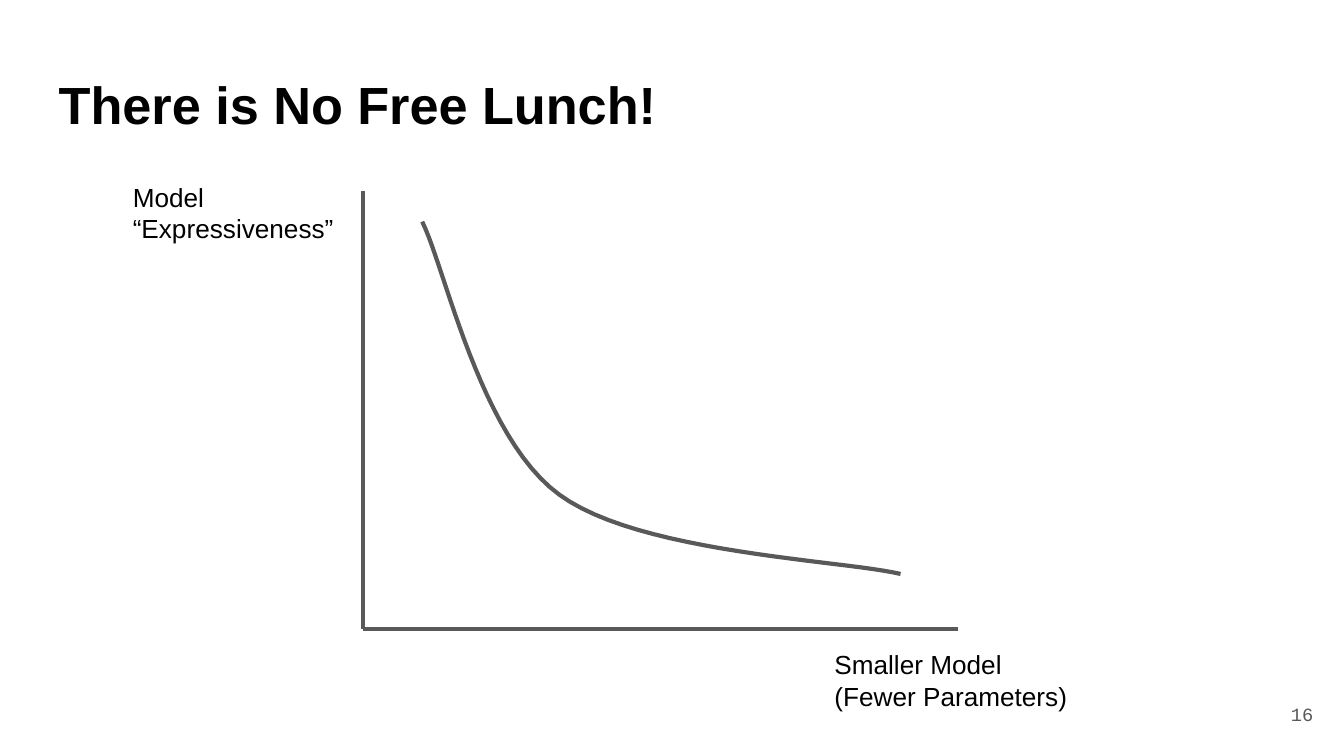
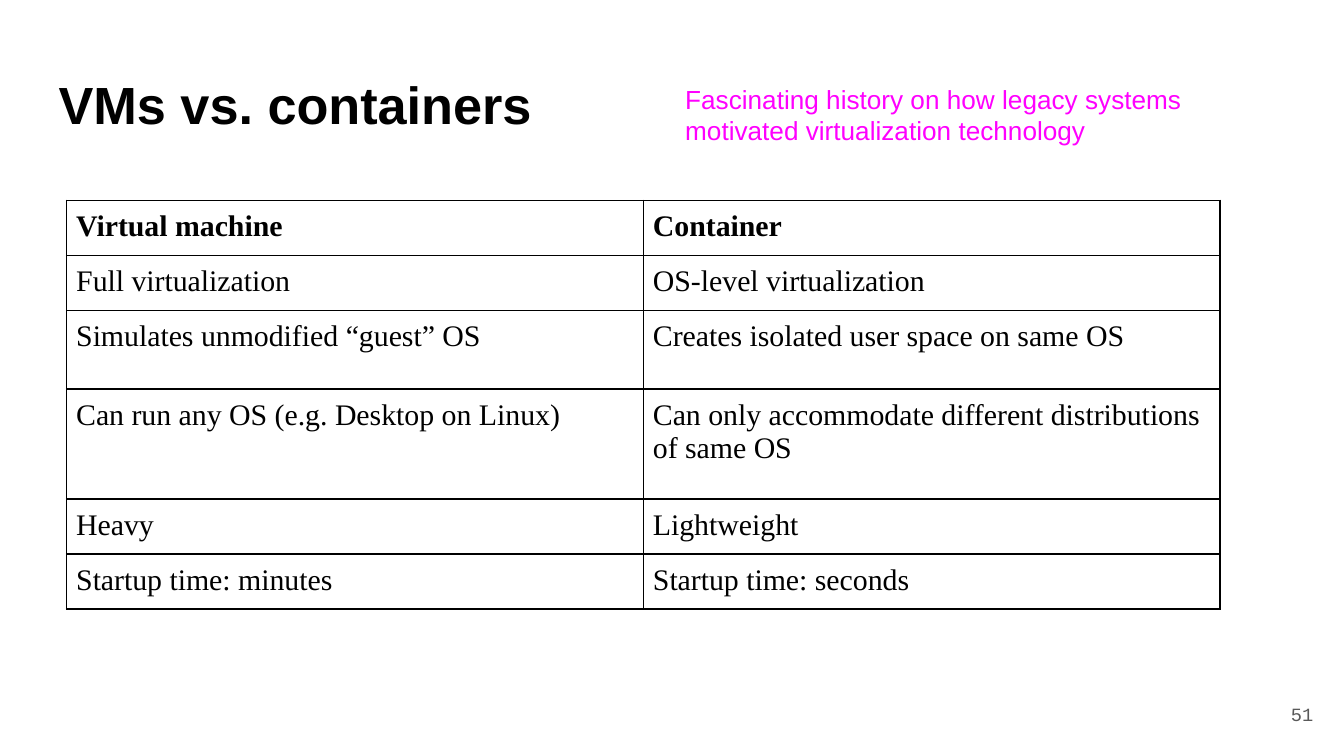
import lxml.etree
import pptx
import pptx.dml.color
import pptx.enum.shapes
import pptx.enum.text
import pptx.oxml.ns
import pptx.util

Cm = pptx.util.Cm
Pt = pptx.util.Pt
RGBColor = pptx.dml.color.RGBColor
ALIGN = pptx.enum.text.PP_ALIGN
ANCHOR = pptx.enum.text.MSO_ANCHOR
qn = pptx.oxml.ns.qn

BLACK = RGBColor(0x00, 0x00, 0x00)
GREY = RGBColor(0x59, 0x59, 0x59)
MAGENTA = RGBColor(0xFF, 0x00, 0xFF)

TRADEOFF = {
    "title": "There is No Free Lunch!",
    "number": "16",
    "labels": [
        (["Model", "“Expressiveness”"], (2.26, 3.18, 4.45, 1.7)),
        (["Smaller Model", "(Fewer Parameters)"], (15.52, 12.01, 5.46, 1.7)),
    ],
    "origin": (6.86, 11.89),
    "axis_ends": [(6.86, 3.61), (18.11, 11.89)],
    "curve": [
        [(7.98, 4.19), (8.41, 5.05), (9.07, 8.26), (10.57, 9.35)],
        [(10.57, 9.35), (12.07, 10.46), (15.93, 10.59), (17.02, 10.85)],
    ],
}
COMPARISON = {
    "title": "VMs vs. containers",
    "number": "51",
    "remark": "Fascinating history on how legacy systems motivated virtualization technology",
    "rows": [
        (0.92, "Virtual machine", "Container"),
        (0.92, "Full virtualization", "OS-level virtualization"),
        (1.49, "Simulates unmodified “guest” OS", "Creates isolated user space on same OS"),
        (2.08, "Can run any OS (e.g. Desktop on Linux)",
         "Can only accommodate different distributions of same OS"),
        (0.92, "Heavy", "Lightweight"),
        (0.92, "Startup time: minutes", "Startup time: seconds"),
    ],
}
COLUMN_WIDTH = 10.9
CURVE_STEPS = 24


def write(frame, lines, size=14, font="Arial", color=BLACK, bold=False,
          align=ALIGN.LEFT, anchor=ANCHOR.TOP, inset=0.25):
    frame.word_wrap = True
    frame.vertical_anchor = anchor
    frame.margin_left = frame.margin_right = Cm(inset)
    frame.margin_top = frame.margin_bottom = Cm(inset)
    for index, line in enumerate(lines):
        paragraph = frame.add_paragraph() if index else frame.paragraphs[0]
        paragraph.alignment = align
        run = paragraph.add_run()
        run.text = line
        run.font.size = Pt(size)
        run.font.name = font
        run.font.bold = bold
        run.font.color.rgb = color


def add_text(slide, lines, place, **style):
    box = slide.shapes.add_textbox(*map(Cm, place))
    write(box.text_frame, lines, **style)


def start_slide(deck, content):
    slide = deck.slides.add_slide(deck.slide_layouts[6])
    add_text(slide, [content["title"]], (0.86, 1.12, 23.67, 1.6), size=28, bold=True)
    add_text(slide, [content["number"]], (23.55, 12.95, 1.52, 1.09), size=10,
             font="Courier New", color=GREY, align=ALIGN.RIGHT, anchor=ANCHOR.MIDDLE)
    return slide


def stroke(part):
    part.line.color.rgb = GREY
    part.line.width = Pt(2.25)


def bezier(points, t):
    weights = ((1 - t) ** 3, 3 * t * (1 - t) ** 2, 3 * t ** 2 * (1 - t), t ** 3)
    return tuple(Cm(sum(w * p[k] for w, p in zip(weights, points))) for k in (0, 1))


def draw_tradeoff(deck):
    slide = start_slide(deck, TRADEOFF)
    for end in TRADEOFF["axis_ends"]:
        axis = slide.shapes.add_connector(
            pptx.enum.shapes.MSO_CONNECTOR.STRAIGHT,
            *map(Cm, end + TRADEOFF["origin"]))
        stroke(axis)
        lxml.etree.SubElement(axis._element.spPr, qn("a:effectLst"))
    for lines, place in TRADEOFF["labels"]:
        add_text(slide, lines, place)

    trail = [bezier(segment, step / CURVE_STEPS)
             for segment in TRADEOFF["curve"] for step in range(1, CURVE_STEPS + 1)]
    builder = slide.shapes.build_freeform(*bezier(TRADEOFF["curve"][0], 0))
    builder.add_line_segments(trail, close=False)
    curve = builder.convert_to_shape()
    curve.fill.background()
    curve.shadow.inherit = False
    stroke(curve)


def add_borders(cell):
    properties = cell._tc.get_or_add_tcPr()
    for side in ("a:lnL", "a:lnR", "a:lnT", "a:lnB"):
        edge = lxml.etree.SubElement(properties, qn(side), w=str(Pt(1)))
        fill = lxml.etree.SubElement(edge, qn("a:solidFill"))
        lxml.etree.SubElement(fill, qn("a:srgbClr"), val=str(BLACK))


def draw_comparison(deck):
    slide = start_slide(deck, COMPARISON)
    rows = COMPARISON["rows"]
    height = sum(row[0] for row in rows)
    table = slide.shapes.add_table(
        len(rows), 2, Cm(1.26), Cm(3.79), Cm(2 * COLUMN_WIDTH), Cm(height)).table
    table.first_row = table.horz_banding = False
    for column in table.columns:
        column.width = Cm(COLUMN_WIDTH)
    for r, (row_height, *entries) in enumerate(rows):
        table.rows[r].height = Cm(row_height)
        for c, entry in enumerate(entries):
            cell = table.cell(r, c)
            add_borders(cell)
            cell.fill.background()
            cell.margin_left = cell.margin_right = Cm(0.18)
            cell.margin_top = cell.margin_bottom = Cm(0.18)
            write(cell.text_frame, [entry], size=16, font="Times New Roman",
                  bold=r == 0, inset=0.18)
            cell.vertical_anchor = ANCHOR.TOP
            body = cell._tc.txBody.find(qn("a:bodyPr"))
            body.attrib.clear()
    add_text(slide, [COMPARISON["remark"]], (12.7, 1.32, 10.82, 1.7), color=MAGENTA)


def main():
    deck = pptx.Presentation()
    deck.slide_width = Cm(25.4)
    deck.slide_height = Cm(14.29)
    draw_tradeoff(deck)
    draw_comparison(deck)
    deck.save("out.pptx")


if __name__ == "__main__":
    main()
